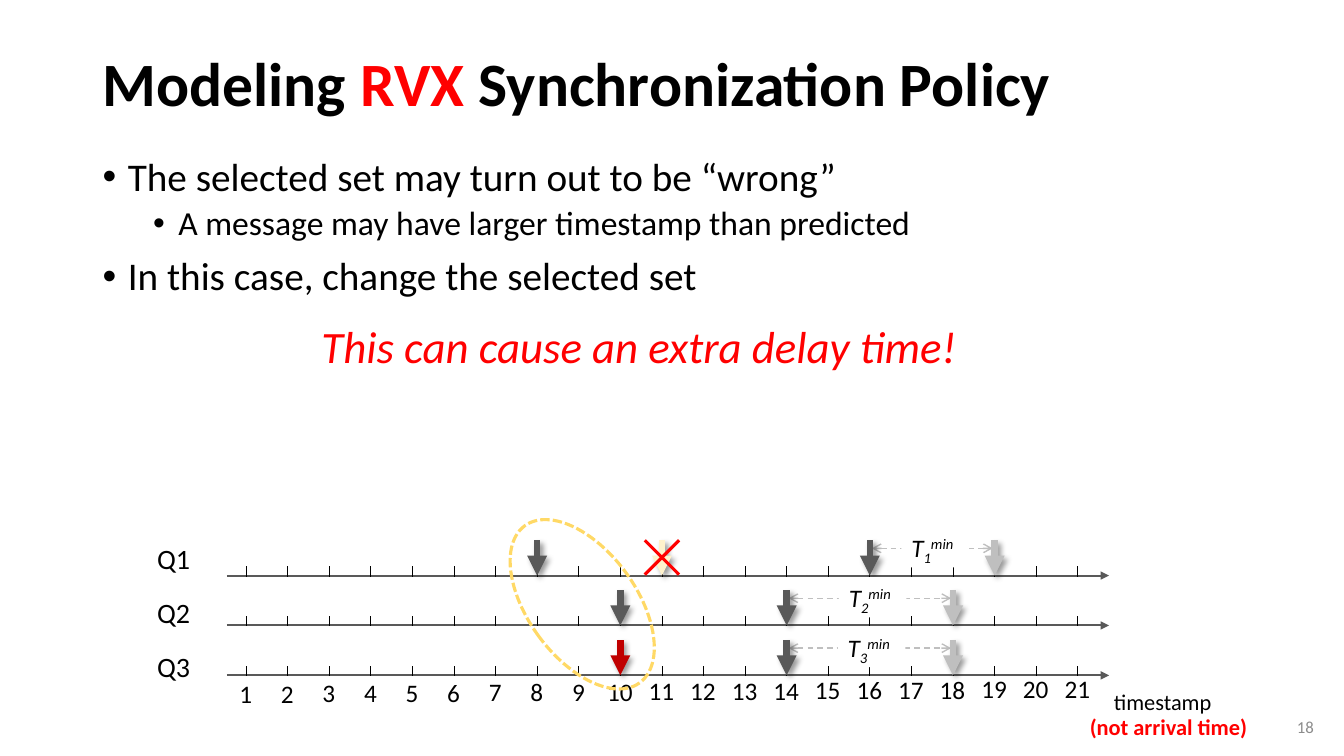
from lxml import etree
from pptx import Presentation
from pptx import util as u
from pptx.dml.color import RGBColor
from pptx.enum import dml, shapes, text
from pptx.oxml import ns

BLACK = RGBColor(0, 0, 0)
WHITE = RGBColor(255, 255, 255)
RED = RGBColor(255, 0, 0)
DARK_RED = RGBColor(0xC0, 0, 0)
DARK_GRAY = RGBColor(0x59, 0x59, 0x59)
LIGHT_GRAY = RGBColor(0xBF, 0xBF, 0xBF)
NUMBER_GRAY = RGBColor(0x8C, 0x8C, 0x8C)
CREAM = RGBColor(0xFF, 0xF2, 0xCC)
YELLOW = RGBColor(0xFF, 0xD9, 0x66)
FONT = "Calibri"


def add_child(parent, tag, **attributes):
    child = etree.SubElement(parent, ns.qn(tag))
    for name, value in attributes.items():
        child.set(name, str(value))
    return child


def write_run(paragraph, content, size, color=BLACK, bold=False, italic=False, baseline=0):
    run = paragraph.add_run()
    run.text = content
    run.font.name = FONT
    run.font.size = u.Pt(size)
    run.font.color.rgb = color
    run.font.bold = bold
    run.font.italic = italic
    if baseline:
        run._r.get_or_add_rPr().set("baseline", str(baseline * 1000))


def add_text(slide, box, runs, size, wrap=False, fill=None,
             anchor=text.MSO_ANCHOR.TOP, align=text.PP_ALIGN.LEFT, spacing=1.0, **style):
    shape = slide.shapes.add_textbox(*map(u.Inches, box))
    if fill is not None:
        shape.fill.solid()
        shape.fill.fore_color.rgb = fill
    frame = shape.text_frame
    frame.word_wrap = wrap
    frame.vertical_anchor = anchor
    paragraph = frame.paragraphs[0]
    paragraph.alignment = align
    paragraph.line_spacing = spacing
    for content, changes in runs if isinstance(runs, list) else [(runs, {})]:
        write_run(paragraph, content, size, **{**style, **changes})
    return shape


def add_line(slide, start, end, color, width, head=None, tail=None, dash=None, shadow=False):
    line = slide.shapes.add_connector(
        shapes.MSO_CONNECTOR.STRAIGHT, *map(u.Inches, (*start, *end)))
    line.line.color.rgb = color
    line.line.width = u.Pt(width)
    if dash is not None:
        line.line.dash_style = dash
    outline = line.line._get_or_add_ln()
    for tag, kind in (("a:headEnd", head), ("a:tailEnd", tail)):
        if kind:
            add_child(outline, tag, type=kind)
    effects = add_child(line._element.spPr, "a:effectLst")
    if shadow:
        outer = add_child(effects, "a:outerShdw", blurRad=u.Pt(4), dist=u.Pt(3),
                          dir=45 * 60000, algn="tl", rotWithShape=0)
        add_child(add_child(outer, "a:srgbClr", val="000000"), "a:alpha", val=40000)


def build_title(slide, box):
    runs = [("Modeling", {}), (" RVX", {"color": RED}), (" Synchronization Policy", {})]
    add_text(slide, box, runs, 44, wrap=True, bold=True, spacing=0.9,
             anchor=text.MSO_ANCHOR.MIDDLE)


def build_points(slide, box):
    points = [
        (0, "The selected set may turn out to be “wrong”"),
        (1, "A message may have larger timestamp than predicted"),
        (0, "In this case, change the selected set"),
    ]
    frame = slide.shapes.add_textbox(*map(u.Inches, box)).text_frame
    frame.word_wrap = True
    for index, (level, content) in enumerate(points):
        paragraph = frame.add_paragraph() if index else frame.paragraphs[0]
        paragraph.level = level
        paragraph.line_spacing = 0.9
        paragraph.space_before = u.Pt(10 - 5 * level)
        properties = paragraph._p.get_or_add_pPr()
        properties.set("marL", str(u.Inches(0.25 + 0.5 * level)))
        properties.set("indent", str(u.Inches(-0.25)))
        add_child(properties, "a:buFont", typeface="Arial")
        add_child(properties, "a:buChar", char="•")
        write_run(paragraph, content, 28 - 4 * level)


def build_timeline(slide, box):
    left, top, width, height = box
    row_gap = height / 2

    def tick_x(stamp):
        return left + 0.19 + 0.4125 * (stamp - 1)

    def axis_y(row):
        return top + row_gap * row

    for row in range(3):
        y = axis_y(row)
        add_line(slide, (left, y), (left + width, y), DARK_GRAY, 1.5, tail="triangle")
        add_text(slide, (left - 0.79, top - 0.39 + 0.535 * row, 0.53, 0.44), f"Q{row + 1}", 20)
        for stamp in range(1, 22):
            x = tick_x(stamp)
            add_line(slide, (x, y - 0.09), (x, y + 0.01), BLACK, 0.5)

    for stamp in range(1, 22):
        label_width = 0.33 if stamp < 10 else 0.46
        label_top = top + 0.97 - 0.0025 * (stamp - 1)
        add_text(slide, (tick_x(stamp) - label_width / 2, label_top, label_width, 0.4),
                 str(stamp), 18)

    intervals = [(0, 16, 19, 8.94), (1, 14, 18, 8.32), (2, 14, 18, 8.31)]
    for row, first, last, label_left in intervals:
        y = axis_y(row) - 0.27
        add_line(slide, (tick_x(first) + 0.02, y), (tick_x(last) - 0.02, y), LIGHT_GRAY, 1,
                 head="arrow", tail="arrow", dash=dml.MSO_LINE.DASH)

    messages = [
        (0, 8, DARK_GRAY), (0, 11, CREAM), (0, 16, DARK_GRAY), (0, 19, LIGHT_GRAY),
        (1, 10, DARK_GRAY), (1, 14, DARK_GRAY), (1, 18, LIGHT_GRAY),
        (2, 10, DARK_RED), (2, 14, DARK_GRAY), (2, 18, LIGHT_GRAY),
    ]
    for row, stamp, color in messages:
        x, y = tick_x(stamp), axis_y(row)
        add_line(slide, (x, y - 0.35), (x, y), color, 4.75, tail="triangle", shadow=True)

    selected_set = slide.shapes.add_shape(
        shapes.MSO_SHAPE.OVAL,
        *map(u.Inches, (left + 2.99, top - 0.68, 1.07, 1.93)))
    selected_set.rotation = 323.8
    selected_set.shadow.inherit = False
    selected_set.fill.background()
    selected_set.line.color.rgb = YELLOW
    selected_set.line.width = u.Pt(2.25)
    selected_set.line.dash_style = dml.MSO_LINE.SQUARE_DOT

    cross_x = tick_x(11)
    for side in (-0.17, 0.17):
        add_line(slide, (cross_x + side, top - 0.35), (cross_x - side, top - 0.01), RED, 2.25)

    for row, first, last, label_left in intervals:
        runs = [("T", {}), (str(row + 1), {"baseline": -25}), ("min", {"baseline": 30})]
        add_text(slide, (label_left, axis_y(row) - 0.48, 0.67, 0.4), runs, 18,
                 fill=WHITE, italic=True)

    add_text(slide, (left + width - 0.05, top + 1.07, 1.18, 0.37), "timestamp", 16)
    add_text(slide, (left + width - 0.29, top + 1.32, 1.78, 0.37), "(not arrival time)", 16,
             color=RED, bold=True)


def main():
    presentation = Presentation()
    presentation.slide_width = u.Inches(13.33)
    presentation.slide_height = u.Inches(7.5)
    slide = presentation.slides.add_slide(presentation.slide_layouts[6])
    build_title(slide, (0.92, 0.4, 11.5, 0.92))
    build_points(slide, (0.92, 1.51, 11.84, 5.25))
    build_timeline(slide, (2.25, 5.71, 8.75, 0.99))
    add_text(slide, (3.09, 3.11, 6.62, 0.64), "This can cause an extra delay time!", 32,
             wrap=True, color=RED, italic=True)
    add_text(slide, (10.13, 7.01, 3, 0.4), "18", 12, wrap=True, color=NUMBER_GRAY,
             anchor=text.MSO_ANCHOR.MIDDLE, align=text.PP_ALIGN.RIGHT)
    presentation.save("out.pptx")


if __name__ == "__main__":
    main()
